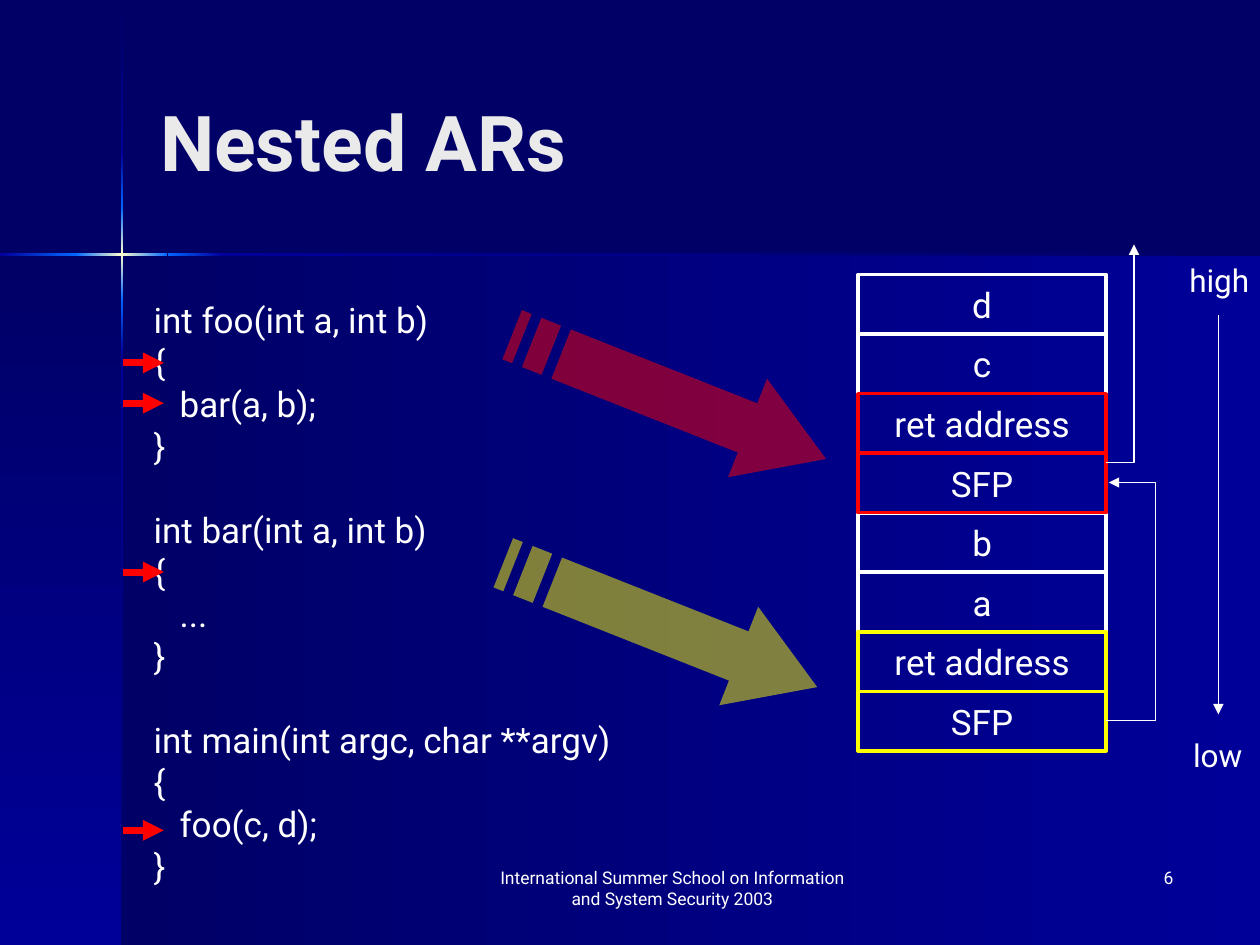
import dataclasses

import lxml.etree
import pptx
import pptx.dml.color
import pptx.enum.dml
import pptx.enum.shapes
import pptx.enum.text
import pptx.oxml.ns
import pptx.util

ALIGN = pptx.enum.text.PP_ALIGN
ANCHOR = pptx.enum.text.MSO_ANCHOR
SHAPE = pptx.enum.shapes.MSO_SHAPE
CONNECTOR = pptx.enum.shapes.MSO_CONNECTOR
rgb = pptx.dml.color.RGBColor.from_string
qn = pptx.oxml.ns.qn


@dataclasses.dataclass(frozen=True)
class Theme:
    font: str = "Roboto"
    night: str = "000066"
    navy: str = "000099"
    blue: str = "0066FF"
    glow: str = "FFFFCC"
    title: str = "EAEAEA"
    white: str = "FFFFFF"
    red: str = "FF0000"
    yellow: str = "FFFF00"
    title_size: int = 44
    body_size: int = 20
    label_size: int = 18
    footer_size: int = 10


theme = Theme()
presentation = pptx.Presentation()
presentation.slide_width = pptx.util.Inches(10)
presentation.slide_height = pptx.util.Inches(7.5)
CELL = presentation.slide_width // 10  # the grid has 10 columns and 7.5 rows


def cells(*counts):
    """Turn counts of grid cells into lengths."""
    return [pptx.util.Emu(round(count * CELL)) for count in counts]


def write(frame, text, size, color=theme.white, align=ALIGN.LEFT, anchor=ANCHOR.TOP, wrap=False):
    frame.text = text
    frame.word_wrap = wrap
    frame.vertical_anchor = anchor
    for paragraph in frame.paragraphs:
        paragraph.alignment = align
        for run in paragraph.runs:
            run.font.name = theme.font
            run.font.size = pptx.util.Pt(size)
            run.font.color.rgb = rgb(color)


slide = presentation.slides.add_slide(presentation.slide_layouts[5])
slide.background.fill.solid()
slide.background.fill.fore_color.rgb = rgb(theme.night)
shapes = slide.shapes

# Backdrop: two panels, then a cross of thin glowing bands
cross_x, cross_y, band = 0.97, 2.02, 0.02
fades = [
    (theme.night, theme.navy),
    (theme.navy, theme.blue),
    (theme.blue, theme.glow, theme.blue),
    (theme.blue, theme.navy),
    (theme.navy, theme.night),
]
row_stops = [0.01, 1.21, 1.65, 2.38, 2.82, 7.5]
column_stops = [0, 0.6, 1.33, 1.77, 10]
RIGHTWARD, DOWNWARD = 0, 270
gradients = [
    (cross_x, cross_y, 10 - cross_x, 7.5 - cross_y, fades[0], RIGHTWARD),
    (0, cross_y, cross_x, 7.5 - cross_y, fades[0], DOWNWARD),
]
for top, bottom, fade in zip(row_stops, row_stops[1:], fades):
    gradients.append((cross_x - band / 2, top, band, bottom - top, fade, DOWNWARD))
for left, right, fade in zip(column_stops, column_stops[1:], fades[1:]):
    gradients.append((left, cross_y - band / 2, right - left, band, fade, RIGHTWARD))

for left, top, width, height, fade, angle in gradients:
    panel = shapes.add_shape(SHAPE.RECTANGLE, *cells(left, top, width, height))
    panel.shadow.inherit = False
    panel.line.fill.background()
    panel.fill.gradient()
    panel.fill.gradient_angle = angle
    stop_list = next(panel._element.spPr.iter(qn("a:gsLst")))
    for stop in list(stop_list):
        stop_list.remove(stop)
    for index, color in enumerate(fade):
        position = str(100000 * index // (len(fade) - 1))
        stop = lxml.etree.SubElement(stop_list, qn("a:gs"), pos=position)
        lxml.etree.SubElement(stop, qn("a:srgbClr"), val=color)

# Title, brought in front of the backdrop
title = shapes.title
title.left, title.top, title.width, title.height = cells(1.17, 0.33, 8.25, 1.57)
write(title.text_frame, "Nested ARs", theme.title_size, theme.title, anchor=ANCHOR.MIDDLE, wrap=True)
title.text_frame.auto_size = pptx.enum.text.MSO_AUTO_SIZE.NONE
title.text_frame.paragraphs[0].runs[0].font.bold = True
title._element.getparent().append(title._element)

# Code: each function after the first is set off by one line of space
functions = [
    "int foo(int a, int b)\n{\n   bar(a, b);\n}",
    "int bar(int a, int b)\n{\n   ...\n}",
    "int main(int argc, char **argv)\n{\n   foo(c, d);\n}",
]
code = shapes.add_textbox(*cells(1.12, 2.32, 4.12, 4.77)).text_frame
write(code, "\n".join(functions), theme.body_size)
for paragraph in code.paragraphs[1:]:
    if paragraph.text.startswith("int"):
        paragraph.space_before = pptx.util.Pt(24)

# Stack: white rows first, so that the coloured frames lie on top
stack_top, row_height = 2.18, 0.4725
stack = [
    (0, "d", theme.white), (1, "c", theme.white),
    (4, "b", theme.white), (5, "a", theme.white),
    (6, "ret address", theme.yellow), (7, "SFP", theme.yellow),
    (2, "ret address", theme.red), (3, "SFP", theme.red),
]
for row, text, color in stack:
    slot = shapes.add_shape(
        SHAPE.RECTANGLE, *cells(6.81, stack_top + row * row_height, 1.97, row_height))
    slot.shadow.inherit = False
    slot.fill.background()
    slot.line.color.rgb = rgb(color)
    slot.line.width = pptx.util.Pt(2)
    write(slot.text_frame, text, theme.body_size, align=ALIGN.CENTER, anchor=ANCHOR.MIDDLE)

# Striped block arrows, outlined in shares of their width and height
stripes = [
    [(0, 1 / 4), (1 / 32, 1 / 4), (1 / 32, 3 / 4), (0, 3 / 4)],
    [(1 / 16, 1 / 4), (1 / 8, 1 / 4), (1 / 8, 3 / 4), (1 / 16, 3 / 4)],
    [(5 / 32, 1 / 4), (3 / 4, 1 / 4), (3 / 4, 0), (1, 1 / 2),
     (3 / 4, 1), (3 / 4, 3 / 4), (5 / 32, 3 / 4)],
]
outlines = [[cells(2.68 * x, 0.84 * y) for x, y in stripe] for stripe in stripes]
for left, top, color in [(3.9, 4.54, theme.yellow), (3.97, 2.73, theme.red)]:
    builder = shapes.build_freeform(*outlines[0][0])
    builder.add_line_segments(outlines[0][1:])
    for outline in outlines[1:]:
        builder.move_to(*outline[0])
        builder.add_line_segments(outline[1:])
    arrow = builder.convert_to_shape(*cells(left, top))
    arrow.rotation = 21.6
    arrow.shadow.inherit = False
    arrow.line.fill.background()
    arrow.fill.solid()
    arrow.fill.fore_color.rgb = rgb(color)
    fill_color = next(arrow._element.spPr.iter(qn("a:srgbClr")))
    lxml.etree.SubElement(fill_color, qn("a:alpha"), val="50000")

# Connectors: code pointers, address direction and saved frame pointers
connectors = [
    ("line", 0.98, y, 1.3, y, theme.red, 4) for y in (6.59, 2.88, 3.2, 4.54)
] + [
    ("line", 9.67, 2.5, 9.67, 5.67, theme.white, 0.75),
    ("bentConnector2", 8.78, 3.67, 9, 1.94, theme.white, 0.75),
    ("bentConnector3", 8.78, 5.72, 8.8, 3.83, theme.white, 0.75),
]
for preset, x1, y1, x2, y2, color, weight in connectors:
    kind = CONNECTOR.STRAIGHT if preset == "line" else CONNECTOR.ELBOW
    connector = shapes.add_connector(kind, *cells(x1, y1, x2, y2))
    connector.line.color.rgb = rgb(color)
    connector.line.width = pptx.util.Pt(weight)
    properties = connector._element.spPr
    lxml.etree.SubElement(properties.find(qn("a:ln")), qn("a:tailEnd"), type="triangle")
    lxml.etree.SubElement(properties, qn("a:effectLst"))
    geometry = properties.find(qn("a:prstGeom"))
    geometry.set("prst", preset)
    if preset == "bentConnector3":
        bend = round((9.17 - x1) / (x2 - x1) * 100000)
        lxml.etree.SubElement(
            geometry.find(qn("a:avLst")), qn("a:gd"), name="adj1", fmla=f"val {bend}")

# Address labels, footer and slide number
footer = "International Summer School on Information and System Security 2003"
labels = [
    (9.34, 2.02, 0.72, 0.4, "high", theme.label_size, ALIGN.LEFT, False),
    (9.37, 5.79, 0.61, 0.4, "low", theme.label_size, ALIGN.LEFT, False),
    (3.75, 6.83, 3.17, 0.5, footer, theme.footer_size, ALIGN.CENTER, True),
    (7.33, 6.83, 2.08, 0.5, "6", theme.footer_size, ALIGN.RIGHT, True),
]
for left, top, width, height, text, size, align, wrap in labels:
    label = shapes.add_textbox(*cells(left, top, width, height))
    write(label.text_frame, text, size, align=align, wrap=wrap)

presentation.save("out.pptx")
